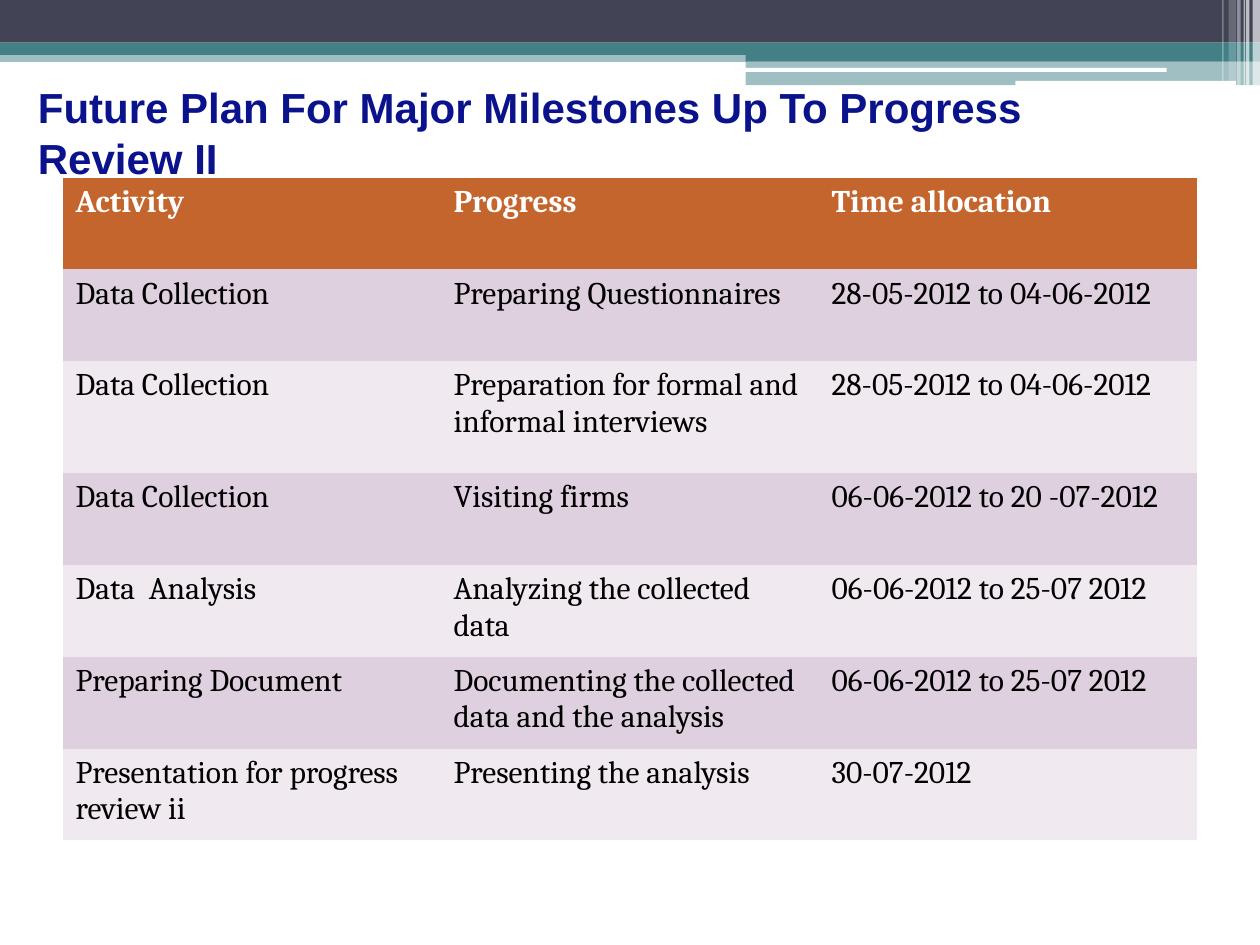
from dataclasses import dataclass

from lxml import etree
from pptx import Presentation
from pptx.dml.color import RGBColor
from pptx.enum import shapes, text
from pptx.oxml import ns
from pptx.util import Cm, Pt

COLORS = {
    "navy": "424456",
    "teal": "438086",
    "white": "FFFFFF",
    "black": "000000",
    "title": "0A128C",
    "header": "C4652D",
    "odd row": "DFD0E0",
    "even row": "F0E9F0",
}


@dataclass
class Bar:
    left: float
    top: float
    width: float
    height: float
    color: str
    opacity: int = 100
    rounded: bool = False


BANDS = [
    Bar(0, 1.02, 25.4, 0.23, "teal", 50),
    Bar(0, 0, 25.4, 0.86, "navy"),
    Bar(0, 0.86, 25.4, 0.25, "teal"),
    Bar(15.03, 0.98, 10.37, 0.25, "teal"),
    Bar(15.03, 1.22, 10.37, 0.5, "teal", 50),
    Bar(15.01, 1.37, 8.51, 0.08, "white", rounded=True),
    Bar(20.47, 1.63, 4.45, 0.1, "white", rounded=True),
]
# left, width, height, opacity of the pale stripes at the right edge
STRIPES = [
    Bar(left, 0, width, height, "white", opacity)
    for left, width, height, opacity in [
        (25.25, 0.15, 1.73, 65),
        (25.12, 0.07, 1.73, 65),
        (25.07, 0.03, 1.73, 60),
        (24.94, 0.07, 1.73, 40),
        (24.77, 0.15, 1.63, 20),
        (24.64, 0.03, 1.63, 30),
    ]
]

PLAN = [
    ("Activity", "Progress", "Time allocation"),
    ("Data Collection", "Preparing Questionnaires", "28-05-2012 to 04-06-2012"),
    ("Data Collection", "Preparation for formal and informal interviews",
     "28-05-2012 to 04-06-2012"),
    ("Data Collection", "Visiting firms", "06-06-2012 to 20 -07-2012"),
    ("Data  Analysis", "Analyzing the collected data", "06-06-2012 to 25-07 2012"),
    ("Preparing Document", "Documenting the collected data and the analysis",
     "06-06-2012 to 25-07 2012"),
    ("Presentation for progress review ii", "Presenting the analysis", "30-07-2012"),
]
ROW_HEIGHT, TALL_ROW_HEIGHT, TALL_ROW = 1.85, 2.26, 2
COLUMN_WIDTH = 7.62


def rgb(name: str) -> RGBColor:
    return RGBColor.from_string(COLORS[name])


def format_font(font, color: str, **values) -> None:
    for name, value in values.items():
        setattr(font, name, value)
    font.color.rgb = rgb(color)


def draw_bar(slide, bar: Bar) -> None:
    kind = shapes.MSO_SHAPE.ROUNDED_RECTANGLE if bar.rounded else shapes.MSO_SHAPE.RECTANGLE
    shape = slide.shapes.add_shape(
        kind, Cm(bar.left), Cm(bar.top), Cm(bar.width), Cm(bar.height))
    shape.shadow.inherit = False
    shape.line.fill.background()
    shape.fill.solid()
    shape.fill.fore_color.rgb = rgb(bar.color)
    if bar.opacity < 100:
        color = shape.fill._xPr.find(".//" + ns.qn("a:srgbClr"))
        etree.SubElement(color, ns.qn("a:alpha"), val=str(bar.opacity * 1000))


def write_title(slide, wording: str) -> None:
    title = slide.shapes.title
    title.left, title.top, title.width, title.height = Cm(0.51), Cm(2.13), Cm(22.86), Cm(1.98)
    frame = title.text_frame
    frame.text = wording
    # The deep bottom margin lifts the two lines clear of the table.
    settings = {
        "word_wrap": True,
        "auto_size": text.MSO_AUTO_SIZE.NONE,
        "vertical_anchor": text.MSO_ANCHOR.MIDDLE,
        "margin_bottom": Cm(1.04),
    }
    for name, value in settings.items():
        setattr(frame, name, value)
    paragraph = frame.paragraphs[0]
    paragraph.alignment = text.PP_ALIGN.LEFT
    format_font(paragraph.runs[0].font, "title", name="Arial", size=Pt(24), bold=True)


def draw_plan(slide) -> None:
    heights = [TALL_ROW_HEIGHT if row == TALL_ROW else ROW_HEIGHT for row in range(len(PLAN))]
    columns = len(PLAN[0])
    table = slide.shapes.add_table(
        len(PLAN), columns, Cm(1.27), Cm(3.58),
        Cm(COLUMN_WIDTH * columns), Cm(sum(heights))).table
    for column in table.columns:
        column.width = Cm(COLUMN_WIDTH)
    for index, (entries, height) in enumerate(zip(PLAN, heights)):
        table.rows[index].height = Cm(height)
        is_header = index == 0
        fill = "header" if is_header else "odd row" if index % 2 else "even row"
        for column, entry in enumerate(entries):
            cell = table.cell(index, column)
            cell.text = entry
            cell.fill.solid()
            cell.fill.fore_color.rgb = rgb(fill)
            format_font(cell.text_frame.paragraphs[0].runs[0].font,
                        "white" if is_header else "black",
                        name="Cambria", size=Pt(18), bold=is_header)
    # Drop the table style, whose white rules do not belong here.
    style = table._tbl.tblPr.find(ns.qn("a:tableStyleId"))
    style.text = "{2D5ABB26-0587-4C30-8999-92F81FD0307C}"


def main() -> None:
    presentation = Presentation()
    presentation.slide_width, presentation.slide_height = Cm(25.4), Cm(19.05)
    slide = presentation.slides.add_slide(presentation.slide_layouts[5])
    for bar in BANDS + STRIPES:
        draw_bar(slide, bar)
    write_title(slide, "Future Plan For Major Milestones Up To Progress Review II")
    draw_plan(slide)
    presentation.save("out.pptx")


if __name__ == "__main__":
    main()
